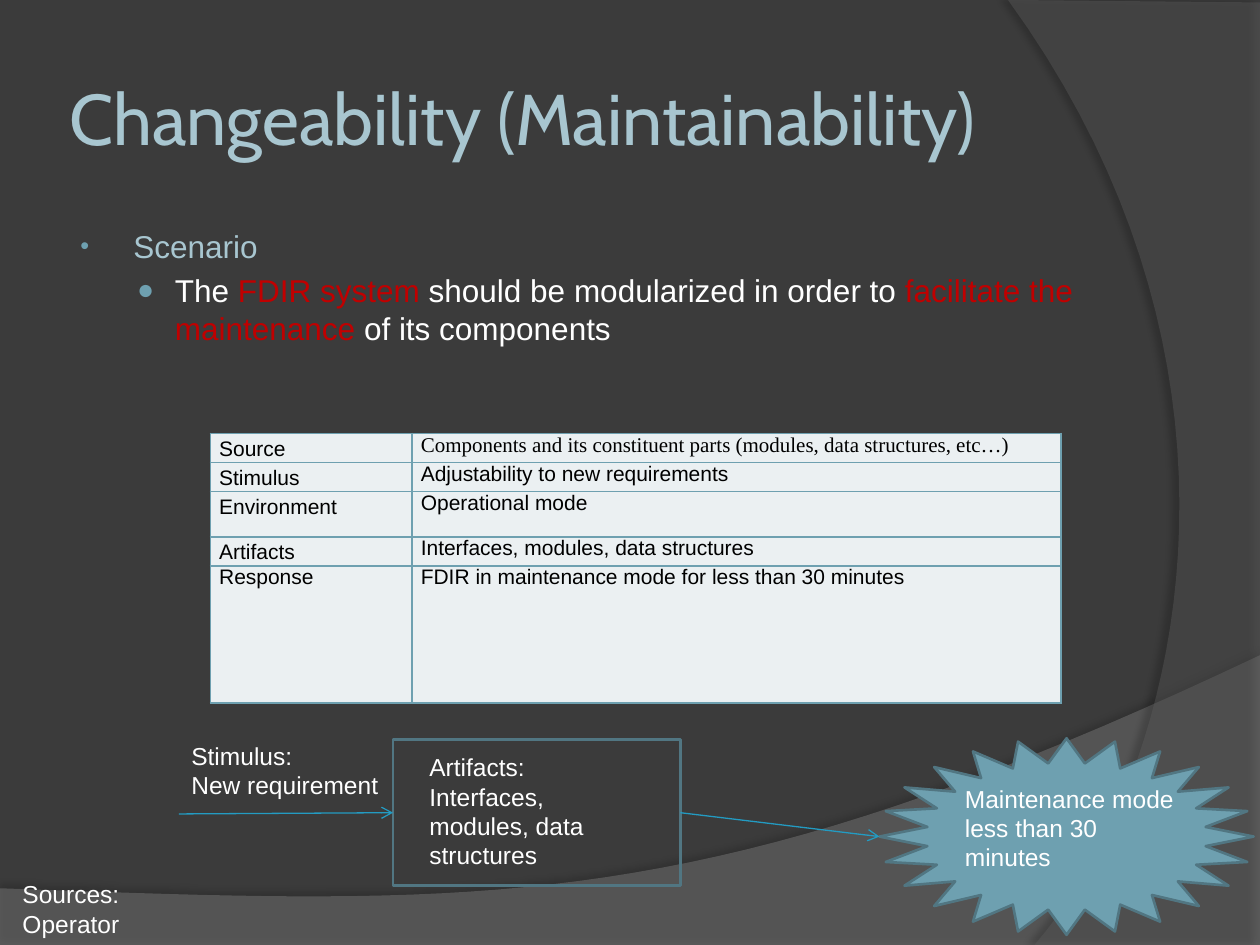
from dataclasses import dataclass

from lxml import etree
from pptx import Presentation
from pptx.dml.color import RGBColor
from pptx.enum.shapes import MSO_CONNECTOR, MSO_SHAPE
from pptx.enum.text import MSO_ANCHOR, MSO_AUTO_SIZE, PP_ALIGN
from pptx.oxml.ns import qn
from pptx.util import Inches, Pt

RECTANGLE, STAR = MSO_SHAPE.RECTANGLE, MSO_SHAPE.STAR_24_POINT
STRAIGHT = MSO_CONNECTOR.STRAIGHT
MIDDLE = MSO_ANCHOR.MIDDLE
LEFT, JUSTIFY = PP_ALIGN.LEFT, PP_ALIGN.JUSTIFY
FIT_SHAPE, NO_FIT = MSO_AUTO_SIZE.SHAPE_TO_FIT_TEXT, MSO_AUTO_SIZE.NONE


@dataclass(frozen=True)
class Theme:
    background: str = "3B3B3B"
    heading: str = "A8C6D0"
    accent: str = "6EA0B0"
    outline: str = "517682"
    arrow: str = "239BC2"
    cell: str = "EBF0F2"
    light: str = "FFFFFF"
    dark: str = "000000"
    emphasis: str = "C00000"
    heading_font: str = "Cabin"
    body_font: str = "Arial"
    serif_font: str = "Times New Roman"
    title_size: int = 41
    body_size: int = 18
    label_size: int = 14
    table_size: int = 12


@dataclass(frozen=True)
class Swoosh:
    """Background outline: straight corners, then Bezier curves."""
    corners: list
    curve: list
    color: str
    opacity: int
    shadow_opacity: int
    shadow_distance: float
    shadow_angle: int


@dataclass(frozen=True)
class Label:
    lines: str
    box: tuple
    wrap: bool


@dataclass(frozen=True)
class Attribute:
    name: str
    value: str
    height: float
    font: str = Theme.body_font
    name_spacing: float | None = 1.15
    value_align: PP_ALIGN | None = None


THEME = Theme()

SWOOSHES = [
    Swoosh([(0, 7.05), (0, 7.51), (10, 7.51), (10, 5.2)],
           [(5.59, 7.29), (3.91, 7.19), (0, 7.05)], "7F7F7F", 45, 35, 3.5, 270),
    Swoosh([(10, 0.02), (10, 7.5), (8.21, 7.5)],
           [(9.35, 6.19), (10.18, 3), (8, 0)], "5E5E5E", 40, 45, 4, 180),
]
ATTRIBUTES = [
    Attribute("Source", "Components and its constituent parts (modules, data structures, etc…)",
              0.18, font=THEME.serif_font),
    Attribute("Stimulus", "Adjustability to new requirements", 0.18),
    Attribute("Environment", "Operational mode", 0.36, value_align=JUSTIFY),
    Attribute("Artifacts", "Interfaces, modules, data structures", 0.18),
    Attribute("Response", "FDIR in maintenance mode for less than 30 minutes", 1.09,
              name_spacing=None),
]
LABELS = [
    Label("Sources:\nOperator", (0.08, 6.93, 0.98, 0.57), False),
    Label("Stimulus:\nNew requirement", (1.42, 5.83, 1.69, 0.57), False),
    Label("Artifacts:\nInterfaces, modules, data structures", (3.31, 5.92, 1.94, 1.04), True),
    Label("Maintenance mode less than 30 minutes", (7.56, 6.17, 1.94, 0.81), True),
]
ARROWS = [((1.42, 6.46), (3.12, 6.45)), ((5.4, 6.45), (6.98, 6.64))]


def rgb(color: str) -> RGBColor:
    return RGBColor.from_string(color)


def inches(values) -> list:
    return [Inches(value) for value in values]


def add_xml(parent, tag: str, **attributes):
    return etree.SubElement(parent, qn(tag), {k: str(v) for k, v in attributes.items()})


def style(font, size: float, color: str, name: str = THEME.body_font) -> None:
    font.size, font.name, font.color.rgb = Pt(size), name, rgb(color)


def bezier(start: tuple, controls: list, steps: int = 40) -> list:
    points = [start, *controls]
    weights = (1, 3, 3, 1)
    return [tuple(sum(w * (1 - t) ** (3 - i) * t ** i * p[axis]
                      for i, (w, p) in enumerate(zip(weights, points)))
                  for axis in (0, 1))
            for t in (step / steps for step in range(1, steps + 1))]


def add_swoosh(slide, swoosh: Swoosh) -> None:
    first, *rest = swoosh.corners + bezier(swoosh.corners[-1], swoosh.curve)
    builder = slide.shapes.build_freeform(*inches(first))
    builder.add_line_segments([inches(point) for point in rest], close=True)
    shape = builder.convert_to_shape()
    shape.fill.solid()
    shape.fill.fore_color.rgb = rgb(swoosh.color)
    shape.line.fill.background()
    properties = shape.element.spPr
    fill_color = properties.find(qn("a:solidFill")).find(qn("a:srgbClr"))
    add_xml(fill_color, "a:alpha", val=swoosh.opacity * 1000)
    shadow = add_xml(add_xml(properties, "a:effectLst"), "a:outerShdw", blurRad=Pt(4),
                     dist=Pt(swoosh.shadow_distance), dir=swoosh.shadow_angle * 60000,
                     algn="ctr", rotWithShape=0)
    shadow_color = add_xml(shadow, "a:srgbClr", val=THEME.dark)
    add_xml(shadow_color, "a:alpha", val=swoosh.shadow_opacity * 1000)


def format_title(slide) -> None:
    title = slide.shapes.title
    title.left, title.top, title.width, title.height = inches((0.5, 0.3, 8.17, 1.25))
    frame = title.text_frame
    frame.text = "Changeability (Maintainability)"
    frame.margin_left = frame.margin_right = frame.margin_top = frame.margin_bottom = Inches(0.05)
    frame.vertical_anchor, frame.auto_size = MIDDLE, NO_FIT
    heading = frame.paragraphs[0]
    heading.alignment = LEFT
    style(heading.runs[0].font, THEME.title_size, THEME.heading, THEME.heading_font)
    title.element.getparent().append(title.element)  # in front of the background


def add_bullet(paragraph, symbol: str, percent: int, margin: float, indent: float) -> None:
    properties = paragraph._p.get_or_add_pPr()
    properties.set("marL", str(Inches(margin)))
    properties.set("indent", str(Inches(indent)))
    add_xml(add_xml(properties, "a:buClr"), "a:srgbClr", val=THEME.accent)
    add_xml(properties, "a:buSzPct", val=percent * 1000)
    add_xml(properties, "a:buFont", typeface=THEME.body_font)
    add_xml(properties, "a:buChar", char=symbol)


def add_scenario(slide) -> None:
    frame = slide.shapes.add_textbox(*inches((0.5, 1.75, 8.17, 4.95))).text_frame
    frame.word_wrap = True
    frame.text = "Scenario"
    topic, statement = frame.paragraphs[0], frame.add_paragraph()
    add_bullet(topic, "•", 80, 0.46, -0.42)
    style(topic.runs[0].font, THEME.body_size, THEME.heading)
    statement.level = 1
    statement.space_before = Pt(THEME.body_size * 0.2)
    add_bullet(statement, "●", 90, 0.79, -0.3)
    for words, color in [("The ", THEME.light), ("FDIR system ", THEME.emphasis),
                         ("should be modularized in order to ", THEME.light),
                         ("facilitate the maintenance", THEME.emphasis),
                         (" of its components", THEME.light)]:
        run = statement.add_run()
        run.text = words
        style(run.font, THEME.body_size, color)


def fill_cell(cell, words: str, font: str, align, spacing) -> None:
    cell.margin_left = cell.margin_right = Inches(0.07)
    cell.margin_top = cell.margin_bottom = 0
    cell.text_frame.text = words
    paragraph = cell.text_frame.paragraphs[0]
    paragraph.alignment, paragraph.line_spacing = align, spacing
    style(paragraph.runs[0].font, THEME.table_size, THEME.dark, font)
    properties = cell._tc.get_or_add_tcPr()
    for side in ("a:lnL", "a:lnR", "a:lnT", "a:lnB"):
        border = add_xml(properties, side, w=Pt(1))
        add_xml(add_xml(border, "a:solidFill"), "a:srgbClr", val=THEME.accent)
    cell.fill.solid()
    cell.fill.fore_color.rgb = rgb(THEME.cell)


def add_attribute_table(slide) -> None:
    height = sum(attribute.height for attribute in ATTRIBUTES)
    table = slide.shapes.add_table(len(ATTRIBUTES), 2, *inches((1.67, 3.44, 6.75, height))).table
    table.first_row = table.horz_banding = False
    table.columns[0].width, table.columns[1].width = inches((1.6, 5.15))
    for index, item in enumerate(ATTRIBUTES):
        table.rows[index].height = Inches(item.height)
        fill_cell(table.cell(index, 0), item.name, THEME.body_font,
                  JUSTIFY if item.name_spacing else None, item.name_spacing)
        fill_cell(table.cell(index, 1), item.value, item.font, item.value_align, None)


def add_node(slide, kind: MSO_SHAPE, box: tuple, color: str | None = None) -> None:
    node = slide.shapes.add_shape(kind, *inches(box))
    node.shadow.inherit = False
    if color:
        node.fill.solid()
        node.fill.fore_color.rgb = rgb(color)
    else:
        node.fill.background()
    node.line.color.rgb, node.line.width = rgb(THEME.outline), Pt(1.5)


def add_arrow(slide, start: tuple, end: tuple) -> None:
    arrow = slide.shapes.add_connector(STRAIGHT, *inches(start + end))
    arrow.line.color.rgb, arrow.line.width = rgb(THEME.arrow), Pt(0.75)
    add_xml(arrow.line._get_or_add_ln(), "a:tailEnd", type="arrow")
    add_xml(arrow._element.spPr, "a:effectLst")


def add_label(slide, label: Label) -> None:
    frame = slide.shapes.add_textbox(*inches(label.box)).text_frame
    frame.word_wrap, frame.auto_size = label.wrap, FIT_SHAPE
    frame.text = label.lines
    for paragraph in frame.paragraphs:
        style(paragraph.runs[0].font, THEME.label_size, THEME.light)


def main() -> None:
    deck = Presentation()
    deck.slide_width, deck.slide_height = inches((10, 7.5))
    slide = deck.slides.add_slide(deck.slide_layouts[5])

    # Background
    slide.background.fill.solid()
    slide.background.fill.fore_color.rgb = rgb(THEME.background)
    for swoosh in SWOOSHES:
        add_swoosh(slide, swoosh)

    # Scenario and its attributes
    format_title(slide)
    add_scenario(slide)
    add_attribute_table(slide)

    # Flow from stimulus to response
    add_node(slide, RECTANGLE, (3.12, 5.87, 2.28, 1.16))
    add_node(slide, STAR, (6.98, 5.86, 2.97, 1.56), THEME.accent)
    for start, end in ARROWS:
        add_arrow(slide, start, end)
    for label in LABELS:
        add_label(slide, label)

    deck.save("out.pptx")


if __name__ == "__main__":
    main()
